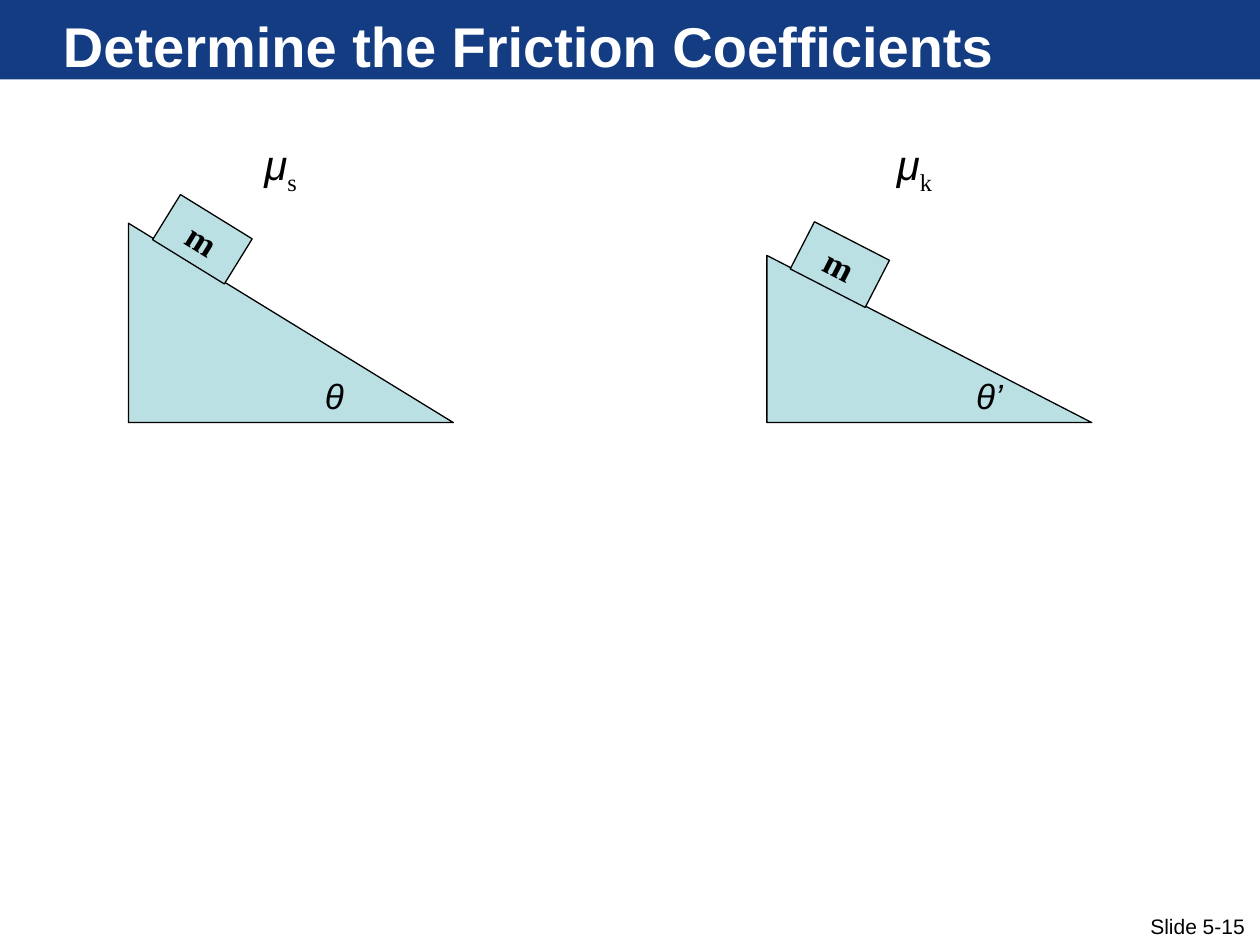
from pptx import Presentation
from pptx.dml.color import RGBColor
from pptx.enum.shapes import MSO_SHAPE
from pptx.enum.text import MSO_ANCHOR, PP_ALIGN
from pptx.util import Cm, Pt

RECTANGLE = MSO_SHAPE.RECTANGLE
RIGHT_TRIANGLE = MSO_SHAPE.RIGHT_TRIANGLE
TOP, MIDDLE = MSO_ANCHOR.TOP, MSO_ANCHOR.MIDDLE
LEFT, CENTER = PP_ALIGN.LEFT, PP_ALIGN.CENTER

COLORS = {"banner": "143C83", "body": "BBE0E3", "ink": "000000", "white": "FFFFFF"}


def add_text(shape, text, size=20, font="Arial", color="ink", bold=False,
             italic=False, baseline=None, align=LEFT, anchor=TOP, wrap=False):
    frame = shape.text_frame
    frame.word_wrap = wrap
    frame.vertical_anchor = anchor
    paragraph = frame.paragraphs[0]
    paragraph.alignment = align
    run = paragraph.add_run()
    run.text = text
    run.font.size = Pt(size)
    run.font.name = font
    run.font.bold = bold
    run.font.italic = italic
    run.font.color.rgb = RGBColor.from_string(COLORS[color])
    if baseline is not None:
        run.font._element.set("baseline", str(baseline * 1000))


def add_solid(slide, kind, left, top, width, height, fill="body", outlined=True):
    shape = slide.shapes.add_shape(kind, Cm(left), Cm(top), Cm(width), Cm(height))
    shape.shadow.inherit = False
    shape.fill.solid()
    shape.fill.fore_color.rgb = RGBColor.from_string(COLORS[fill])
    if outlined:
        shape.line.color.rgb = RGBColor.from_string(COLORS["ink"])
        shape.line.width = Pt(0.75)
    else:
        shape.line.fill.background()
    return shape


presentation = Presentation()
presentation.slide_width = Cm(25.4)
presentation.slide_height = Cm(19.05)
slide = presentation.slides.add_slide(presentation.slide_layouts[6])

banner = add_solid(slide, RECTANGLE, 0, 0, 25.4, 1.6, fill="banner", outlined=False)
banner.text_frame.margin_left = Cm(1.27)
banner.text_frame.margin_top = Cm(0.23)
banner.text_frame.margin_bottom = Cm(0)
add_text(banner, "Determine the Friction Coefficients", size=32, color="white",
         bold=True, wrap=True)

RAMP_WIDTH, RAMP_BOTTOM = 6.55, 8.52
ramps = [
    {"left": 2.59, "height": 4.02, "block": (3.23, 4.29), "tilt": 31.7,
     "subscript": "s", "mu": (5.08, 1.22), "angle": "θ", "theta": (6.3, 0.89)},
    {"left": 15.46, "height": 3.37, "block": (16.08, 4.8), "tilt": 27.2,
     "subscript": "k", "mu": (17.83, 1.3), "angle": "θ’", "theta": (19.43, 1.04)},
]

for ramp in ramps:
    add_solid(slide, RIGHT_TRIANGLE, ramp["left"], RAMP_BOTTOM - ramp["height"],
              RAMP_WIDTH, ramp["height"])

    block = add_solid(slide, RECTANGLE, *ramp["block"], 1.7, 1.07)
    block.rotation = ramp["tilt"]
    add_text(block, "m", font="Times New Roman", bold=True, align=CENTER, anchor=MIDDLE)

    left, width = ramp["mu"]
    coefficient = slide.shapes.add_textbox(Cm(left), Cm(2.67), Cm(width), Cm(1.3))
    add_text(coefficient, "μ", size=24, italic=True)
    add_text(coefficient, ramp["subscript"], size=24, font="Times New Roman", baseline=-25)

    left, width = ramp["theta"]
    angle = slide.shapes.add_textbox(Cm(left), Cm(7.42), Cm(width), Cm(1.12))
    add_text(angle, ramp["angle"], italic=True)

slide_number = slide.shapes.add_textbox(Cm(22.94), Cm(18.29), Cm(2.46), Cm(0.76))
add_text(slide_number, "Slide 5-15", size=12)

presentation.save("out.pptx")
